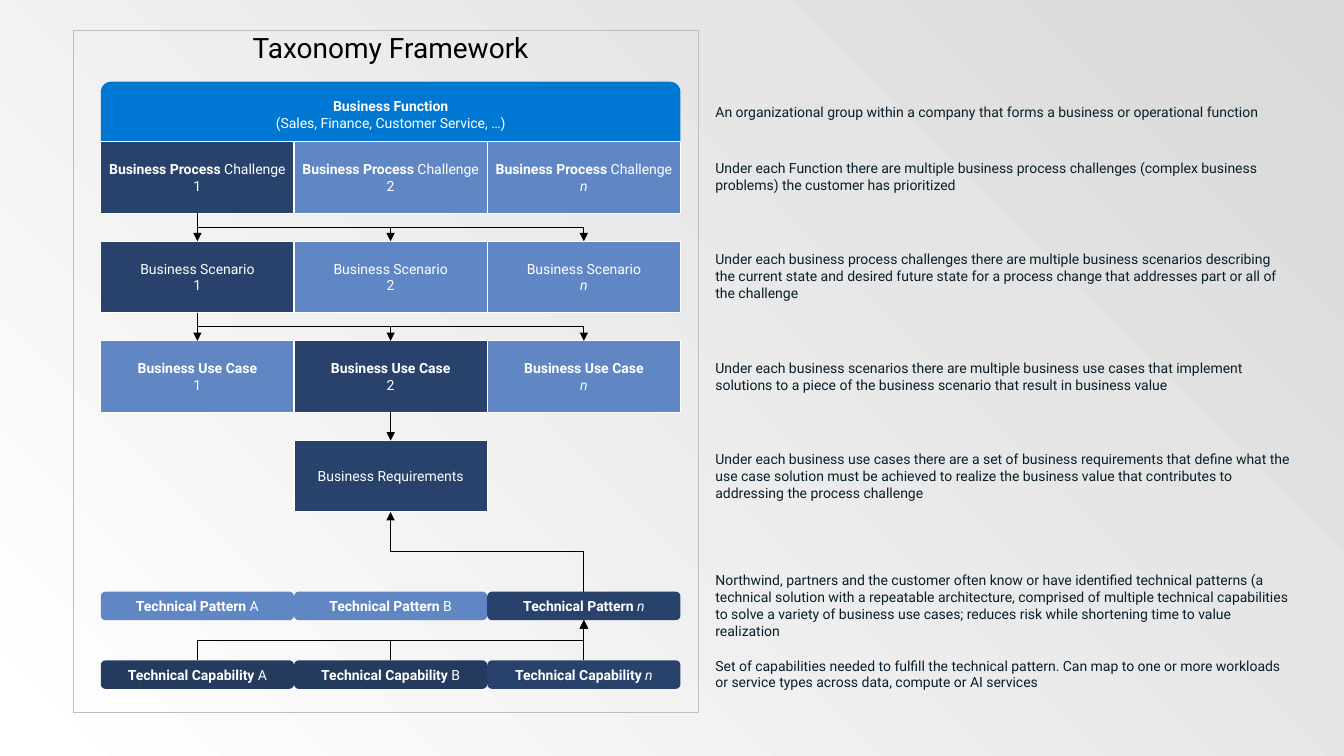
import pptx
import pptx.util
from pptx.dml.color import RGBColor
from pptx.enum.shapes import MSO_CONNECTOR, MSO_SHAPE
from pptx.enum.text import MSO_ANCHOR, MSO_AUTO_SIZE, PP_ALIGN
from pptx.oxml.ns import qn
from lxml import etree

Cm, Pt = pptx.util.Cm, pptx.util.Pt

# Colours
BLACK = RGBColor(0x00, 0x00, 0x00)
WHITE = RGBColor(0xFF, 0xFF, 0xFF)
INK = RGBColor(0x08, 0x1F, 0x2B)
FRAME = RGBColor(0xBF, 0xBF, 0xBF)
SHADE = RGBColor(0xD9, 0xD9, 0xD9)
BLUE = RGBColor(0x00, 0x78, 0xD3)
NAVY = RGBColor(0x28, 0x42, 0x6B)
DEEP = RGBColor(0x24, 0x3A, 0x5E)
SKY = RGBColor(0x60, 0x87, 0xC4)

# Content: a paragraph is a list of (text, style) runs, style "b" bold, "i" italic
TITLE = "Taxonomy Framework"
FUNCTION = [[("Business Function", "b")],
            [("(Sales, Finance, Customer Service, …)", "")]]
NUMBERS = [("1", ""), ("2", ""), ("n", "i")]
LETTERS = [("A", ""), ("B", ""), ("n", "i")]
PROCESSES = [[[("Business Process ", "b"), ("Challenge ", ""), m]] for m in NUMBERS]
SCENARIOS = [[[("Business Scenario", "")], [m]] for m in NUMBERS]
USE_CASES = [[[("Business Use Case", "b")], [m]] for m in NUMBERS]
REQUIREMENTS = [[("Business Requirements", "")]]
PATTERNS = [[[("Technical Pattern ", "b"), m]] for m in LETTERS]
CAPABILITIES = [[[("Technical Capability ", "b"), m]] for m in LETTERS]

# Descriptions: top and height in cm, text
DESCRIPTIONS = [
    (2.61, 0.43, "An organizational group within a company that forms a business or "
                 "operational function"),
    (4.03, 0.86, "Under each Function there are multiple business process challenges "
                 "(complex business problems) the customer has prioritized"),
    (6.32, 1.28, "Under each business process challenges there are multiple business "
                 "scenarios describing the current state and desired future state for a "
                 "process change that addresses part or all of the challenge"),
    (9.07, 0.86, "Under each business scenarios there are multiple business use cases that "
                 "implement solutions to a piece of the business scenario that result in "
                 "business value"),
    (11.36, 1.28, "Under each business use cases there are a set of business requirements "
                  "that define what the use case solution must be achieved to realize the "
                  "business value that contributes to addressing the process challenge"),
    (14.41, 1.71, "Northwind, partners and the customer often know or have identified "
                  "technical patterns (a technical solution with a repeatable architecture, "
                  "comprised of multiple technical capabilities to solve a variety of "
                  "business use cases; reduces risk while shortening time to value "
                  "realization"),
    (16.56, 0.86, "Set of capabilities needed to fulfill the technical pattern. Can map to "
                  "one or more workloads or service types across data, compute or AI services"),
]

# Layout in cm
LEFT, COL_W = 2.54, 4.87
ROW_TOP, ROW_H, ROW_PITCH = 3.57, 1.8, 2.51
PATTERN_TOP, CAPABILITY_TOP, PILL_H = 14.91, 16.64, 0.72
TOP_SITE, BOTTOM_SITE = 0, 2


def write(tf, paragraphs, size, color, align, inset):
    tf.word_wrap = True
    tf.auto_size = MSO_AUTO_SIZE.NONE
    tf.margin_left = tf.margin_right = tf.margin_top = tf.margin_bottom = Cm(inset)
    for i, runs in enumerate(paragraphs):
        p = tf.paragraphs[0] if i == 0 else tf.add_paragraph()
        p.alignment = align
        for text, style in runs:
            r = p.add_run()
            r.text = text
            r.font.name, r.font.size = "Roboto", Pt(size)
            r.font.bold, r.font.italic = style == "b", style == "i"
            r.font.color.rgb = color


def box(kind, left, top, width, height, fill=None, line=None, paragraphs=()):
    sp = slide.shapes.add_shape(kind, Cm(left), Cm(top), Cm(width), Cm(height))
    sp.shadow.inherit = False
    if fill is None:
        sp.fill.background()
    else:
        sp.fill.solid()
        sp.fill.fore_color.rgb = fill
    if line is None:
        sp.line.fill.background()
    else:
        sp.line.color.rgb, sp.line.width = line, Pt(0.75)
    sp.text_frame.vertical_anchor = MSO_ANCHOR.MIDDLE
    write(sp.text_frame, paragraphs, 10, WHITE, PP_ALIGN.CENTER, 0.13)
    return sp


def row(kind, top, height, labels, fills, line=None):
    return [box(kind, LEFT + i * COL_W, top, COL_W, height, fill, line, label)
            for i, (label, fill) in enumerate(zip(labels, fills))]


def arrow(start, end):
    down = end.top > start.top
    bent = start.left != end.left
    kind = MSO_CONNECTOR.ELBOW if bent else MSO_CONNECTOR.STRAIGHT
    c = slide.shapes.add_connector(kind, 0, 0, 0, 0)
    c.begin_connect(start, BOTTOM_SITE if down else TOP_SITE)
    c.end_connect(end, TOP_SITE if down else BOTTOM_SITE)
    if bent:
        # A quarter turn makes the elbow leave and arrive vertically
        x1, y1, x2, y2 = c.begin_x, c.begin_y, c.end_x, c.end_y
        w, h = abs(y2 - y1), abs(x2 - x1)
        c.left, c.top = (x1 + x2 - w) // 2, (y1 + y2 - h) // 2
        c.width, c.height = w, h
        xfrm = c._element.spPr.find(qn("a:xfrm"))
        xfrm.set("rot", "5400000")
        xfrm.set("flipH", "0" if down else "1")
        xfrm.set("flipV", "1" if x2 > x1 else "0")
    c.line.color.rgb, c.line.width = BLACK, Pt(0.75)
    etree.SubElement(c.line._get_or_add_ln(), qn("a:tailEnd"), type="triangle")
    etree.SubElement(c._element.spPr, qn("a:effectLst"))


prs = pptx.Presentation()
prs.slide_width, prs.slide_height = Cm(33.87), Cm(19.05)
slide = prs.slides.add_slide(prs.slide_layouts[5])

# Background
bg = slide.background.fill
bg.gradient()
bg.gradient_angle = 45
for stop, color, position in zip(bg.gradient_stops, (WHITE, SHADE), (0, 1)):
    stop.color.rgb, stop.position = color, position

# Frame and title
box(MSO_SHAPE.RECTANGLE, 1.85, 0.76, 15.75, 17.2, line=FRAME)
title = slide.shapes.title
title.left, title.top, title.width, title.height = Cm(LEFT), Cm(0.76), Cm(3 * COL_W), Cm(0.86)
title.text_frame.vertical_anchor = MSO_ANCHOR.MIDDLE
write(title.text_frame, [[(TITLE, "")]], 20, BLACK, PP_ALIGN.CENTER, 0)

# Business levels
box(MSO_SHAPE.ROUND_2_SAME_RECTANGLE, LEFT, 2.06, 3 * COL_W, 1.57, BLUE, None, FUNCTION)
levels = [(PROCESSES, (NAVY, SKY, SKY)),
          (SCENARIOS, (NAVY, SKY, SKY)),
          (USE_CASES, (SKY, NAVY, SKY))]
processes, scenarios, use_cases = [
    row(MSO_SHAPE.RECTANGLE, ROW_TOP + i * ROW_PITCH, ROW_H, labels, fills, WHITE)
    for i, (labels, fills) in enumerate(levels)]
requirements = box(MSO_SHAPE.RECTANGLE, LEFT + COL_W, ROW_TOP + 3 * ROW_PITCH, COL_W, ROW_H,
                   NAVY, WHITE, REQUIREMENTS)

# Technical levels
patterns = row(MSO_SHAPE.ROUNDED_RECTANGLE, PATTERN_TOP, PILL_H, PATTERNS, (SKY, SKY, NAVY))
capabilities = row(MSO_SHAPE.ROUNDED_RECTANGLE, CAPABILITY_TOP, PILL_H, CAPABILITIES,
                   (DEEP, DEEP, NAVY))

# Arrows
for source, targets in ((processes[0], scenarios), (scenarios[0], use_cases)):
    for target in targets:
        arrow(source, target)
arrow(use_cases[1], requirements)
arrow(patterns[2], requirements)
for capability in capabilities:
    arrow(capability, patterns[2])

# Descriptions
for top, height, text in DESCRIPTIONS:
    tb = slide.shapes.add_textbox(Cm(18.03), Cm(top), Cm(14.48), Cm(height))
    write(tb.text_frame, [[(text, "")]], 10, INK, PP_ALIGN.LEFT, 0)

prs.save("out.pptx")
